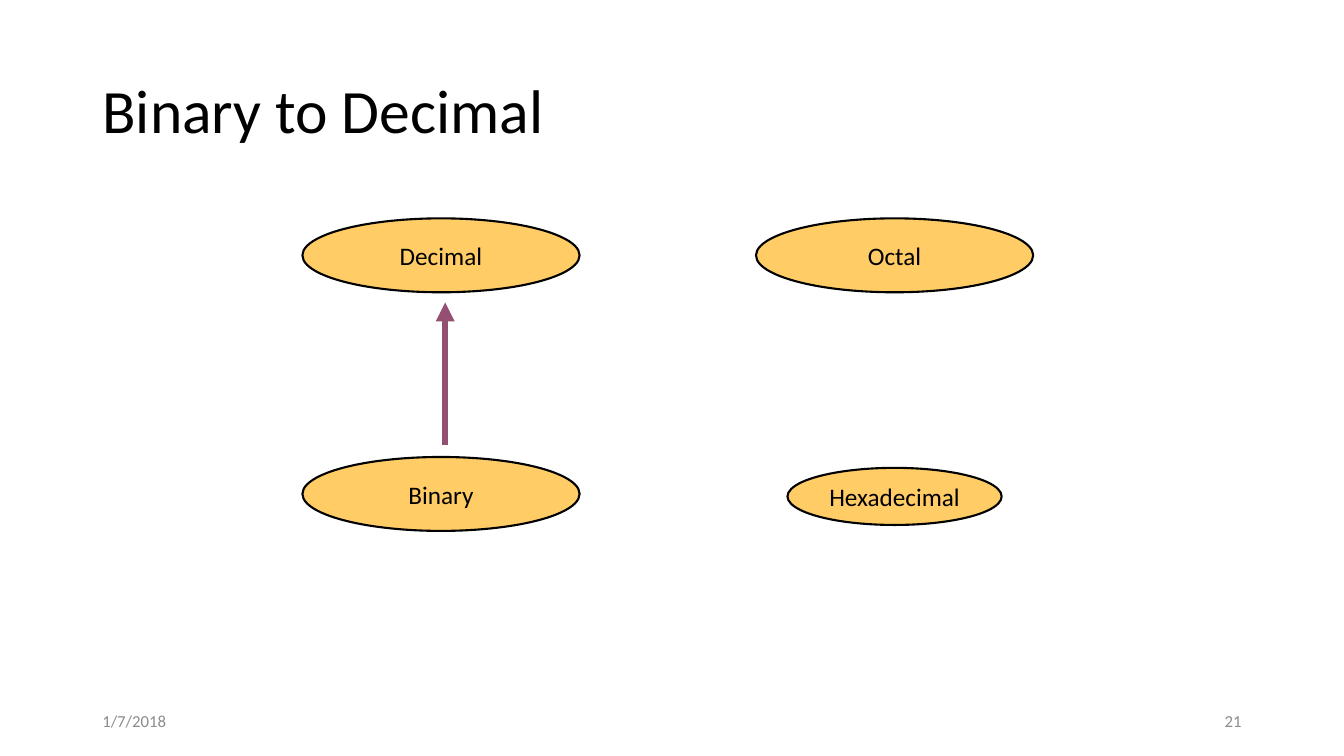
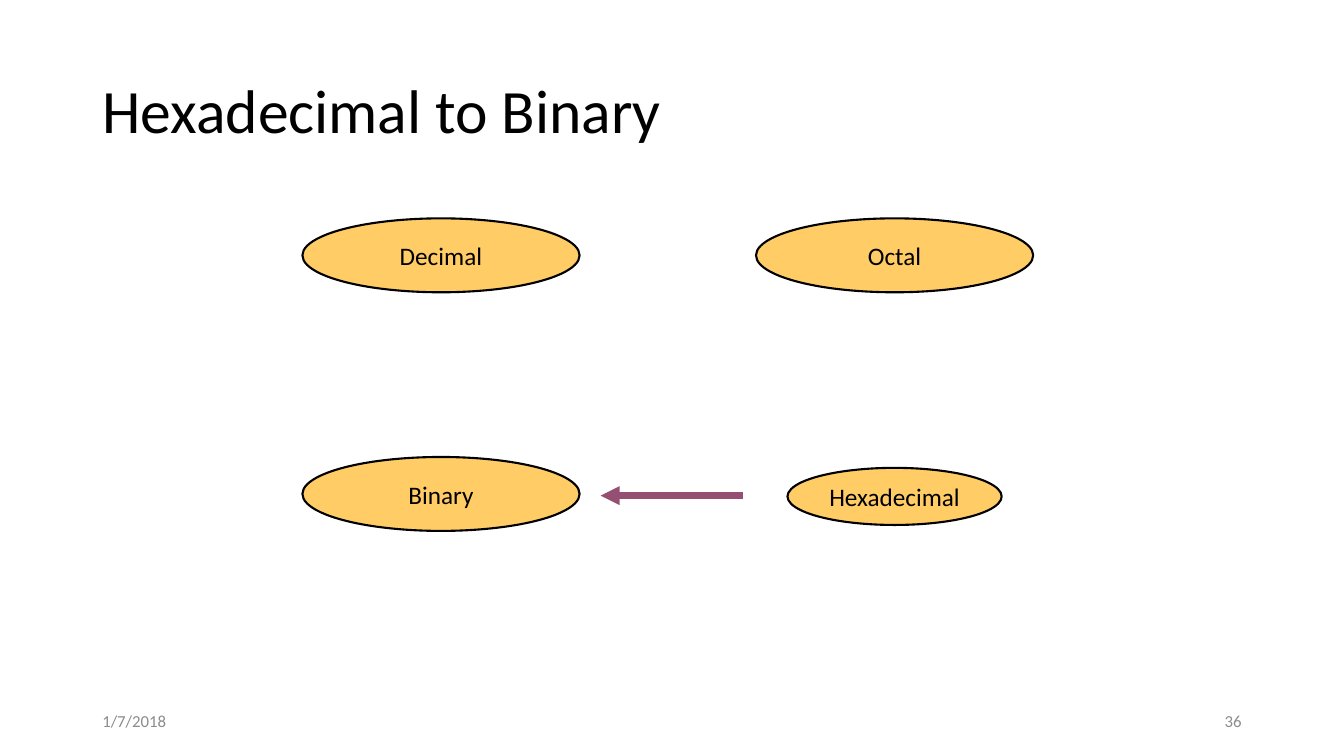
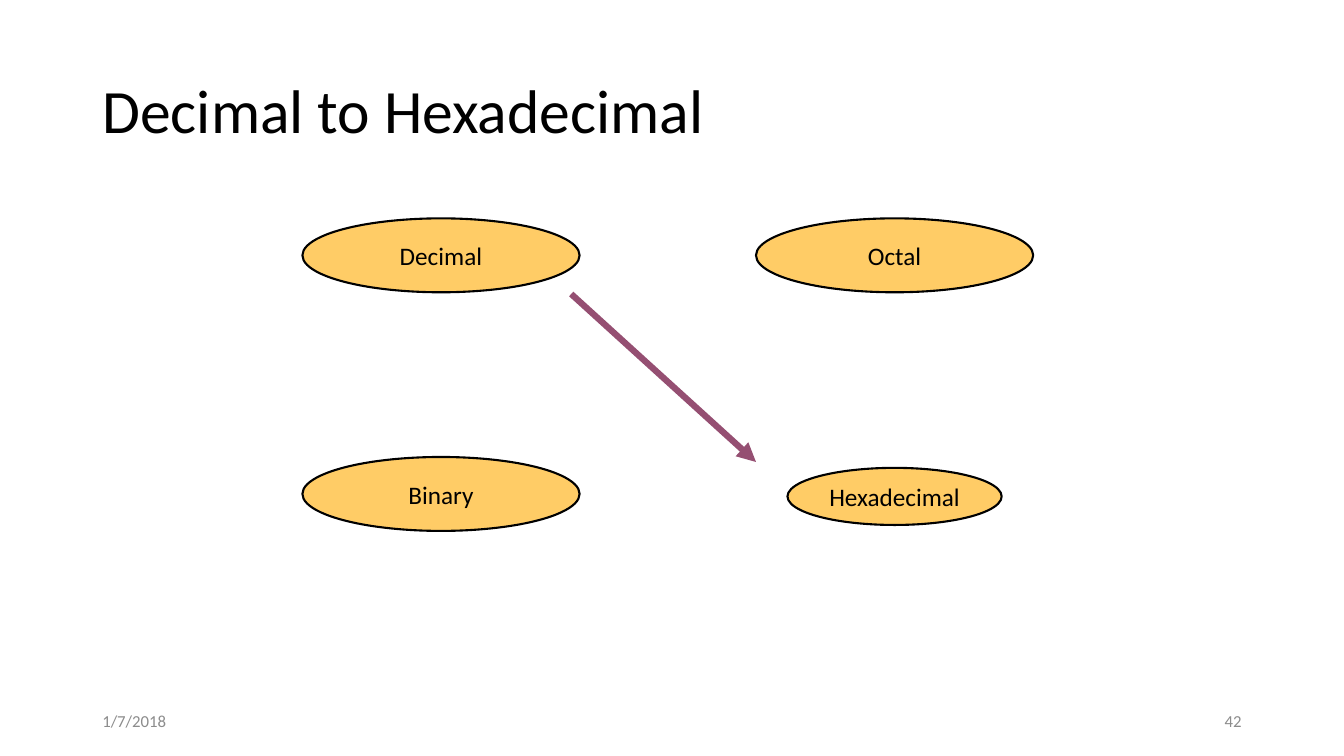
from dataclasses import dataclass

from lxml.etree import SubElement
from pptx import Presentation
from pptx.dml.color import RGBColor
from pptx.enum.shapes import MSO_CONNECTOR, MSO_SHAPE
from pptx.enum.text import MSO_ANCHOR, MSO_AUTO_SIZE, PP_ALIGN
from pptx.oxml.ns import qn
from pptx.presentation import Presentation as Deck
from pptx.slide import Slide
from pptx.text.text import TextFrame
from pptx.util import Emu, Inches, Pt

COLS, ROWS = 160, 90
CELL = Inches(1) / 12


@dataclass(frozen=True)
class Theme:
    font: str = "Calibri"
    ink: RGBColor = RGBColor(0x00, 0x00, 0x00)
    muted: RGBColor = RGBColor(0x8C, 0x8C, 0x8C)
    node: RGBColor = RGBColor(0xFF, 0xCC, 0x66)
    arrow: RGBColor = RGBColor(0x95, 0x4F, 0x72)
    title_size: float = 44
    node_size: float = 18
    footer_size: float = 12
    outline: float = 1.5
    arrow_width: float = 4.5


@dataclass(frozen=True)
class Box:
    col: float
    row: float
    cols: float
    rows: float

    def emu(self) -> tuple[Emu, Emu, Emu, Emu]:
        return grid(self.col), grid(self.row), grid(self.cols), grid(self.rows)


@dataclass(frozen=True)
class Node:
    label: str
    col: float
    row: float
    cols: float = 33
    rows: float = 8.8

    def box(self) -> Box:
        return Box(self.col - self.cols / 2, self.row - self.rows / 2, self.cols, self.rows)


@dataclass(frozen=True)
class Conversion:
    title: str
    number: int
    start: tuple[float, float]
    end: tuple[float, float]


THEME = Theme()
MARGIN = 11
FOOTER_ROW, FOOTER_COLS, FOOTER_ROWS = 83.4, 36, 4.8
TITLE_BOX = Box(MARGIN, 4.8, COLS - 2 * MARGIN, 17.4)
DATE_BOX = Box(MARGIN, FOOTER_ROW, FOOTER_COLS, FOOTER_ROWS)
NUMBER_BOX = Box(COLS - MARGIN - FOOTER_COLS, FOOTER_ROW, FOOTER_COLS, FOOTER_ROWS)
DATE = "1/7/2018"
LEFT, RIGHT, TOP, BOTTOM = 52.5, 106.5, 30.4, 58.8

NODES = [
    Node("Hexadecimal", RIGHT, 59.1, 25.5, 6.8),
    Node("Decimal", LEFT, TOP),
    Node("Octal", RIGHT, TOP),
    Node("Binary", LEFT, BOTTOM),
]
CONVERSIONS = [
    Conversion("Binary to Decimal", 21, (53, 53), (53, 36)),
    Conversion("Hexadecimal to Binary", 36, (88.5, 59), (71.5, 59)),
    Conversion("Decimal to Hexadecimal", 42, (68, 35), (90, 55)),
]


def grid(cells: float) -> Emu:
    return Emu(round(cells * CELL))


def write(tf: TextFrame, text: str, size: float, color: RGBColor,
          align: PP_ALIGN, wrap: bool = True, spacing: float = 1.0) -> None:
    tf.auto_size = MSO_AUTO_SIZE.NONE
    tf.word_wrap = wrap
    tf.vertical_anchor = MSO_ANCHOR.MIDDLE
    p = tf.paragraphs[0]
    p.alignment = align
    p.line_spacing = spacing
    r = p.add_run()
    r.text = text
    r.font.name = THEME.font
    r.font.size = Pt(size)
    r.font.color.rgb = color


def add_title(s: Slide, text: str) -> None:
    sp = s.shapes.title
    sp.left, sp.top, sp.width, sp.height = TITLE_BOX.emu()
    write(sp.text_frame, text, THEME.title_size, THEME.ink, PP_ALIGN.LEFT, spacing=0.9)


def add_node(s: Slide, node: Node) -> None:
    sp = s.shapes.add_shape(MSO_SHAPE.OVAL, *node.box().emu())
    sp.shadow.inherit = False
    sp.fill.solid()
    sp.fill.fore_color.rgb = THEME.node
    sp.line.color.rgb = THEME.ink
    sp.line.width = Pt(THEME.outline)
    write(sp.text_frame, node.label, THEME.node_size, THEME.ink, PP_ALIGN.CENTER, wrap=False)


def add_arrow(s: Slide, start: tuple[float, float], end: tuple[float, float]) -> None:
    ends = [grid(v) for v in (*start, *end)]
    cx = s.shapes.add_connector(MSO_CONNECTOR.STRAIGHT, *ends)
    cx.line.color.rgb = THEME.arrow
    cx.line.width = Pt(THEME.arrow_width)
    SubElement(cx.line._get_or_add_ln(), qn("a:tailEnd"), type="triangle")
    SubElement(cx._element.spPr, qn("a:effectLst"))


def add_footer(s: Slide, box: Box, text: str, align: PP_ALIGN) -> None:
    sp = s.shapes.add_textbox(*box.emu())
    write(sp.text_frame, text, THEME.footer_size, THEME.muted, align)


def add_conversion(prs: Deck, conversion: Conversion) -> None:
    s = prs.slides.add_slide(prs.slide_layouts.get_by_name("Title Only"))
    add_title(s, conversion.title)
    for node in NODES:
        add_node(s, node)
    add_arrow(s, conversion.start, conversion.end)
    add_footer(s, NUMBER_BOX, str(conversion.number), PP_ALIGN.RIGHT)
    add_footer(s, DATE_BOX, DATE, PP_ALIGN.LEFT)


def main() -> None:
    prs = Presentation()
    prs.slide_width, prs.slide_height = grid(COLS), grid(ROWS)
    for conversion in CONVERSIONS:
        add_conversion(prs, conversion)
    prs.save("out.pptx")


if __name__ == "__main__":
    main()
